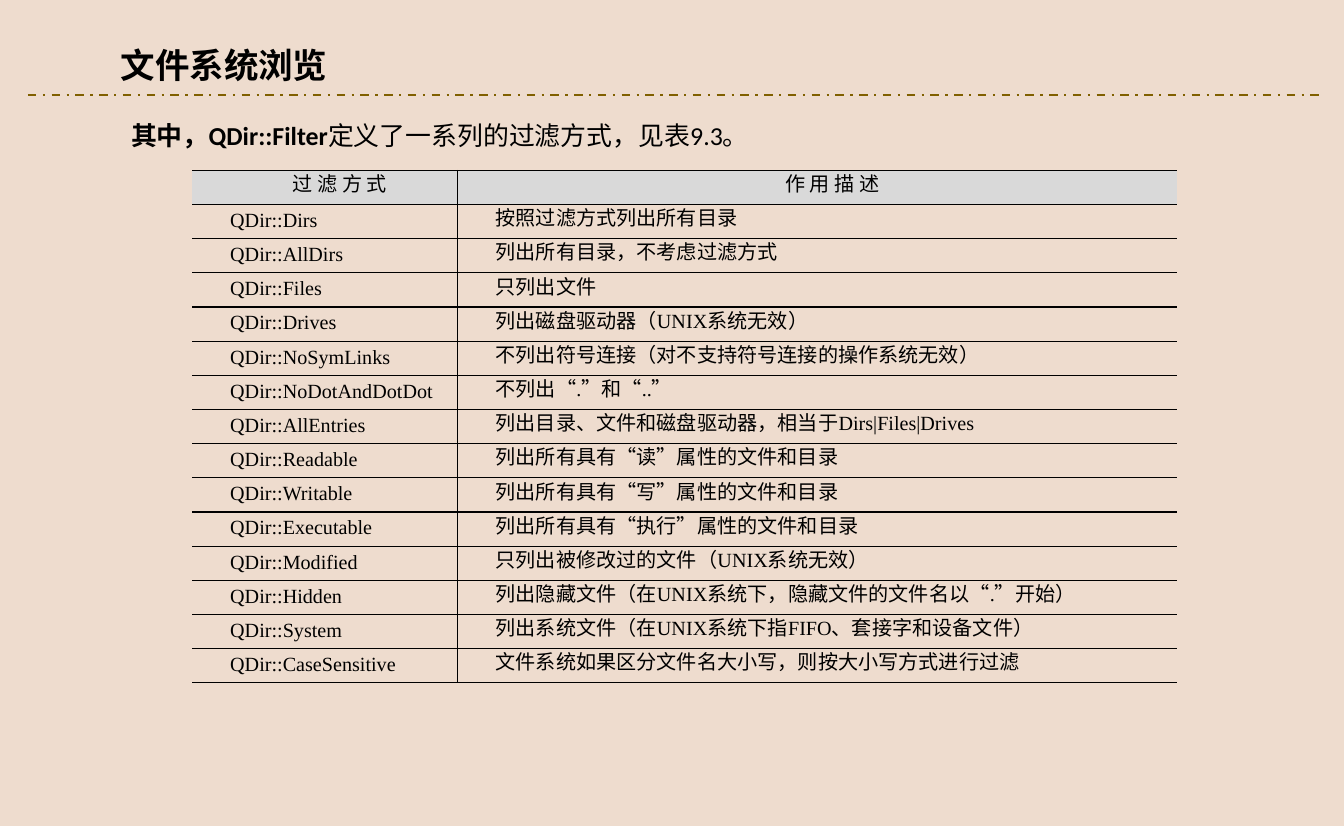
from pptx import Presentation
from pptx import util as u
from pptx.dml.color import RGBColor
from pptx.enum import dml, shapes, text
from pptx.oxml import parse_xml
from pptx.oxml.ns import nsdecls

# Content
TITLE = [("文件系统浏览", True)]
INTRO = [("其中，QDir::Filter", True), ("定义了一系列的过滤方式，见表9.3。", False)]
FILTERS = [
    ("过 滤 方 式", "作 用 描 述"),
    ("QDir::Dirs", "按照过滤方式列出所有目录"),
    ("QDir::AllDirs", "列出所有目录，不考虑过滤方式"),
    ("QDir::Files", "只列出文件"),
    ("QDir::Drives", "列出磁盘驱动器（UNIX系统无效）"),
    ("QDir::NoSymLinks", "不列出符号连接（对不支持符号连接的操作系统无效）"),
    ("QDir::NoDotAndDotDot", "不列出“.”和“..”"),
    ("QDir::AllEntries", "列出目录、文件和磁盘驱动器，相当于Dirs|Files|Drives"),
    ("QDir::Readable", "列出所有具有“读”属性的文件和目录"),
    ("QDir::Writable", "列出所有具有“写”属性的文件和目录"),
    ("QDir::Executable", "列出所有具有“执行”属性的文件和目录"),
    ("QDir::Modified", "只列出被修改过的文件（UNIX系统无效）"),
    ("QDir::Hidden", "列出隐藏文件（在UNIX系统下，隐藏文件的文件名以“.”开始）"),
    ("QDir::System", "列出系统文件（在UNIX系统下指FIFO、套接字和设备文件）"),
    ("QDir::CaseSensitive", "文件系统如果区分文件名大小写，则按大小写方式进行过滤"),
]
COLORS = {"background": "EEDCCE", "rule": "806000", "ink": "000000", "header": "D9D9D9"}
SLIDE_SIZE = (935.25, 575)
COLUMN_WIDTHS = (184.7, 500.6)
ROW_HEIGHT = 23.8


def color(name):
    return RGBColor.from_string(COLORS[name])


def write(frame, runs, size, font, align=text.PP_ALIGN.LEFT, leading=None, indent=0):
    paragraph = frame.paragraphs[0]
    paragraph.alignment = align
    if leading:
        paragraph.line_spacing = u.Pt(leading)
    if indent:
        properties = paragraph._p.get_or_add_pPr()
        properties.set("marL", "0")
        properties.set("indent", str(u.Pt(indent)))
    for words, bold in runs:
        run = paragraph.add_run()
        run.text = words
        run.font.size = u.Pt(size)
        run.font.name = font
        run.font.bold = bold
        run.font.color.rgb = color("ink")


def add_text(slide, runs, left, top, width, height, size, wrap):
    frame = slide.shapes.add_textbox(*map(u.Pt, (left, top, width, height))).text_frame
    frame.word_wrap = wrap
    frame.auto_size = text.MSO_AUTO_SIZE.SHAPE_TO_FIT_TEXT
    write(frame, runs, size, "Calibri")


def set_borders(cell, visible):
    properties = cell._tc.get_or_add_tcPr()
    for position, side in enumerate("LRTB"):
        paint = "<a:noFill/>"
        if side in visible:
            paint = f'<a:solidFill><a:srgbClr val="{COLORS["ink"]}"/></a:solidFill>'
        properties.insert(position, parse_xml(
            f'<a:ln{side} {nsdecls("a")} w="{u.Pt(1)}">{paint}</a:ln{side}>'))


presentation = Presentation()
presentation.slide_width, presentation.slide_height = map(u.Pt, SLIDE_SIZE)
slide = presentation.slides.add_slide(presentation.slide_layouts[6])
slide.background.fill.solid()
slide.background.fill.fore_color.rgb = color("background")

# Rule under the title
rule = slide.shapes.add_connector(
    shapes.MSO_CONNECTOR.STRAIGHT, u.Pt(19.4), u.Pt(66.2), u.Pt(920.9), u.Pt(66.2))
rule.line.color.rgb = color("rule")
rule.line.width = u.Pt(1.5)
rule.line.dash_style = dml.MSO_LINE.DASH_DOT
rule._element.spPr.append(parse_xml(f'<a:effectLst {nsdecls("a")}/>'))

# Title and introduction
add_text(slide, TITLE, 76.8, 27, 159.8, 36, size=24, wrap=False)
add_text(slide, INTRO, 84.2, 79.9, 448.6, 28.8, size=18, wrap=True)

# Filter table
table = slide.shapes.add_table(
    len(FILTERS), len(COLUMN_WIDTHS), u.Pt(133.8), u.Pt(118.6),
    u.Pt(sum(COLUMN_WIDTHS)), u.Pt(ROW_HEIGHT * len(FILTERS))).table
table.first_row = table.horz_banding = False
for column, width in zip(table.columns, COLUMN_WIDTHS):
    column.width = u.Pt(width)
for row_index, entries in enumerate(FILTERS):
    table.rows[row_index].height = u.Pt(ROW_HEIGHT)
    is_header = row_index == 0
    for column_index, words in enumerate(entries):
        cell = table.cell(row_index, column_index)
        cell.margin_left = cell.margin_right = u.Pt(5.4)
        cell.margin_top = cell.margin_bottom = 0
        cell.vertical_anchor = text.MSO_ANCHOR.MIDDLE
        if is_header:
            cell.fill.solid()
            cell.fill.fore_color.rgb = color("header")
        else:
            cell.fill.background()
        set_borders(cell, "RTB" if column_index == 0 else "LTB")
        align = text.PP_ALIGN.CENTER if is_header else text.PP_ALIGN.JUSTIFY
        write(cell.text_frame, [(words, False)], 14, "Times New Roman",
              align=align, leading=14, indent=21)

presentation.save("out.pptx")
